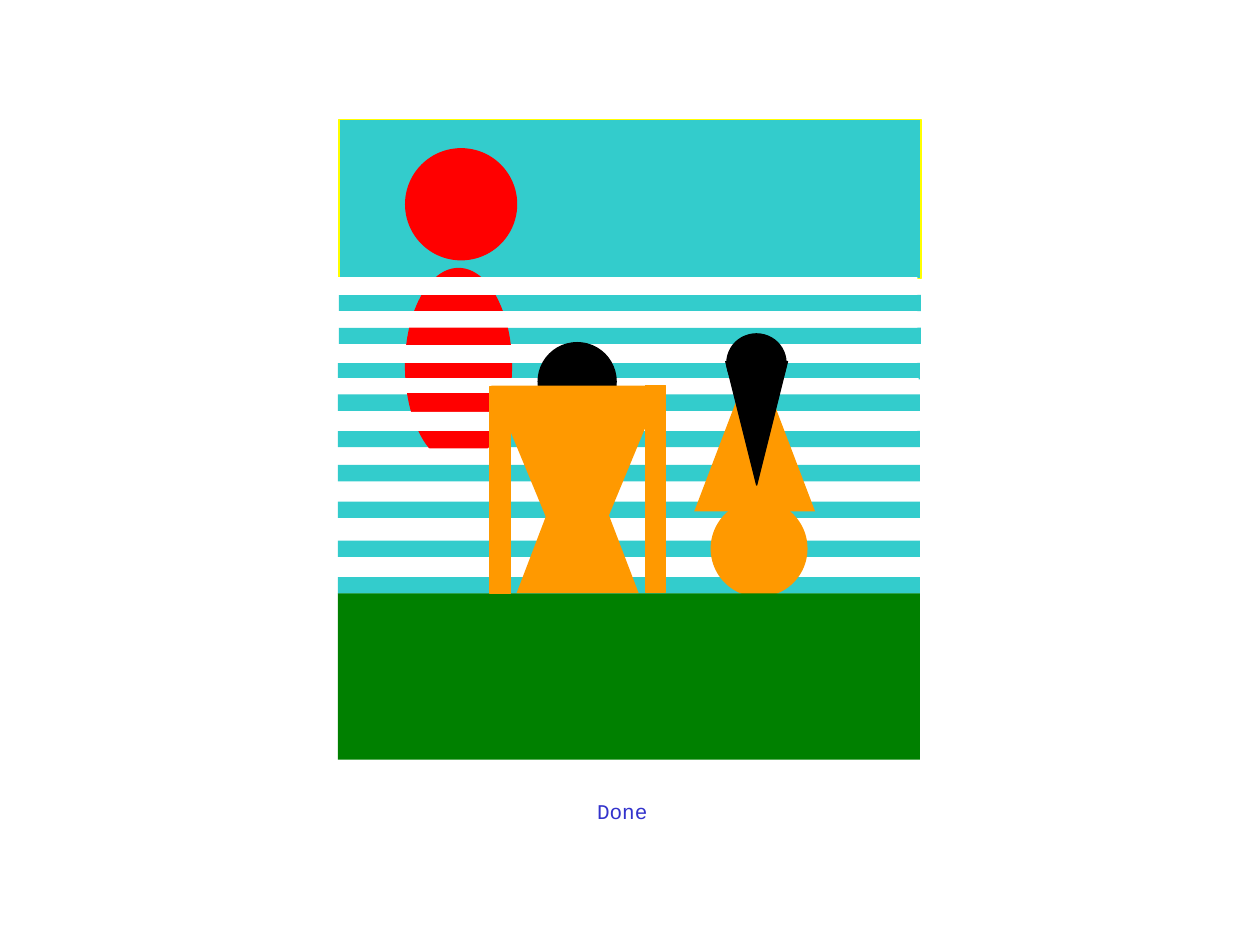
import pptx
import pptx.dml.color
import pptx.enum.shapes
import pptx.enum.text
import pptx.util

Pt = pptx.util.Pt
KINDS = pptx.enum.shapes.MSO_SHAPE
RECTANGLE, OVAL, TRIANGLE = KINDS.RECTANGLE, KINDS.OVAL, KINDS.ISOSCELES_TRIANGLE

COLORS = {
    "water": "33CCCC",
    "foam": "FFFFFF",
    "sky_edge": "FFFF00",
    "sun": "FF0000",
    "skin": "FF9900",
    "hair": "000000",
    "grass": "008000",
    "label": "3333CC",
}


def rgb(name):
    return pptx.dml.color.RGBColor.from_string(COLORS[name])


def add_part(slide, kind, origin, offset, size, fill, line=None, rotation=0):
    """Place a filled shape at an offset from the region's origin."""
    left, top = origin[0] + offset[0], origin[1] + offset[1]
    shape = slide.shapes.add_shape(kind, Pt(left), Pt(top), Pt(size[0]), Pt(size[1]))
    shape.shadow.inherit = False
    shape.rotation = rotation
    shape.fill.solid()
    shape.fill.fore_color.rgb = rgb(fill)
    if line:
        shape.line.color.rgb = rgb(line)
        shape.line.width = Pt(0.75)
    else:
        shape.line.fill.background()
    return shape


def add_text(slide, text, left, top, width, height, font, size, color):
    box = slide.shapes.add_textbox(Pt(left), Pt(top), Pt(width), Pt(height))
    frame = box.text_frame
    frame.word_wrap = False
    frame.auto_size = pptx.enum.text.MSO_AUTO_SIZE.SHAPE_TO_FIT_TEXT
    run = frame.paragraphs[0].add_run()
    run.text = text
    run.font.name = font
    run.font.size = Pt(size)
    run.font.color.rgb = rgb(color)


def draw_sea(slide, origin, width):
    for index, top in enumerate((100.1, 118.8, 139, 157, 177.8, 218.2, 240.5, 261.4)):
        indent = 0.7 if index < 2 else 0
        add_part(slide, RECTANGLE, origin, (indent, top), (width, 9.4), "water")


def draw_sky(slide, origin, width):
    add_part(slide, RECTANGLE, origin, (0.7, 0), (width, 90.7), "water", line="sky_edge")


def draw_sun(slide, origin):
    add_part(slide, OVAL, origin, (0, 0), (63.4, 63.4), "sun", line="sun")
    # Reflection in the water
    add_part(slide, OVAL, origin, (0, 68.4), (60.5, 111.6), "sun", line="sun")


def draw_foam(slide, origin, width):
    """White bands cut the reflection; one last wave lies on top of it."""
    bands = [(-1.4, 90, 10.1), (-1.4, 109.4, 9.4), (-1.4, 128.9, 10.1),
             (-0.7, 147.6, 8.6), (-1.4, 167, 10.8), (-2.2, 187.9, 10.1)]
    for left, top, height in bands:
        add_part(slide, RECTANGLE, origin, (left, top), (width, height), "foam")
    add_part(slide, RECTANGLE, origin, (0, 197.3), (width, 9.4), "water")


def draw_woman(slide, origin):
    add_part(slide, TRIANGLE, origin, (0, 10.8), (69.1, 90.7), "skin")
    add_part(slide, OVAL, origin, (9.4, 95), (55.4, 55.4), "skin")
    add_part(slide, TRIANGLE, origin, (18, 15.8), (35.3, 70.6), "hair",
             line="hair", rotation=180)
    add_part(slide, OVAL, origin, (18.7, 0), (33.8, 33.1), "hair", line="hair")


def draw_man(slide, origin):
    # Head, hips, torso
    add_part(slide, OVAL, origin, (27.4, 0), (44.6, 44.6), "hair", line="hair")
    add_part(slide, TRIANGLE, origin, (15.1, 51.8), (69.8, 91.4), "skin")
    add_part(slide, TRIANGLE, origin, (0.7, 24.5), (97.9, 118.1), "skin", rotation=180)
    # Arms
    for left, top in ((88.6, 24.5), (0, 25.2)):
        add_part(slide, RECTANGLE, origin, (left, top), (11.5, 118.1), "skin", line="skin")


def draw_grass(slide, origin, width):
    add_part(slide, RECTANGLE, origin, (0, 270.7), (width, 95), "grass")


def main():
    presentation = pptx.Presentation()
    presentation.slide_width, presentation.slide_height = Pt(720), Pt(540)
    slide = presentation.slides.add_slide(presentation.slide_layouts[6])

    scene, width = (193, 68.4), 332.6
    draw_sea(slide, scene, width)
    draw_sky(slide, scene, width)
    draw_sun(slide, (231.8, 85))
    draw_foam(slide, scene, width)
    draw_woman(slide, (396.7, 190.8))
    draw_grass(slide, scene, width)
    draw_man(slide, (280.1, 195.8))

    # Caption
    add_text(slide, "Done", left=334.1, top=452.9, width=44.6, height=21.6,
             font="Courier New", size=12, color="label")
    presentation.save("out.pptx")


if __name__ == "__main__":
    main()
